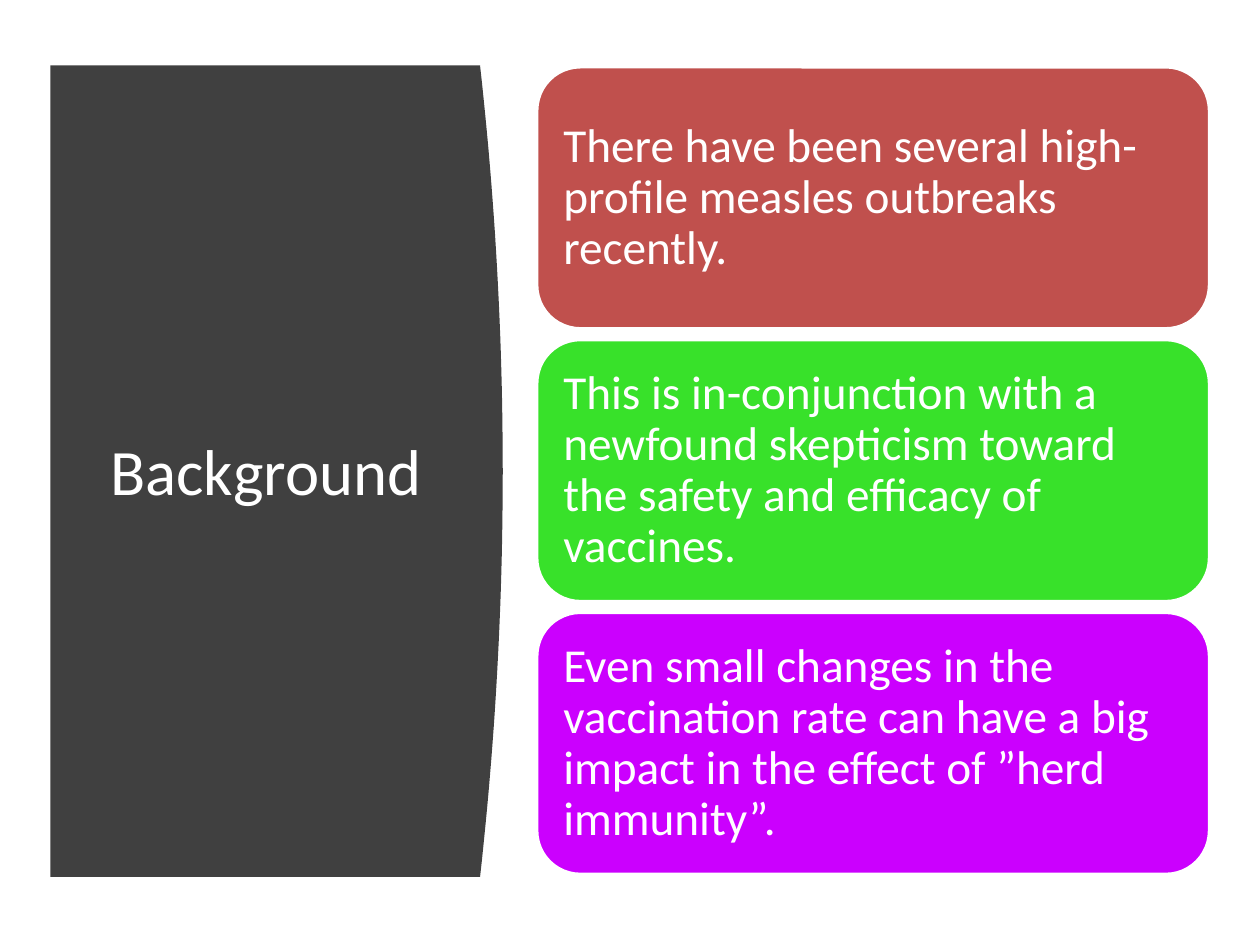
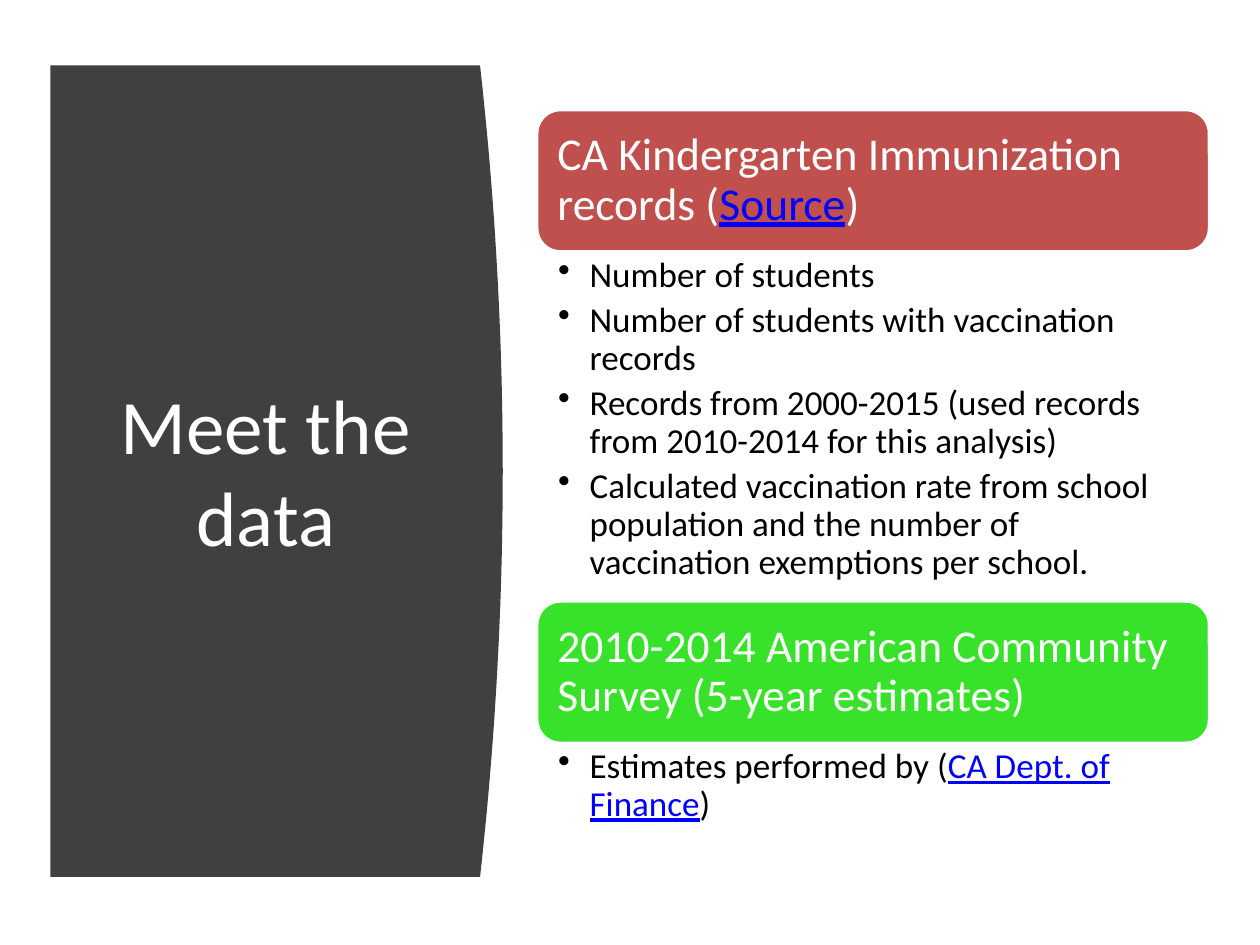
from pptx import Presentation
from pptx.dml.color import RGBColor
from pptx.enum.shapes import MSO_SHAPE as Shape
from pptx.enum.text import MSO_ANCHOR as Anchor, PP_ALIGN as Align
from pptx.oxml.ns import qn
from pptx.util import Inches, Pt
from lxml.etree import SubElement

FONT = "Calibri"
WHITE = RGBColor(0xFF, 0xFF, 0xFF)
BLACK = RGBColor(0x00, 0x00, 0x00)
CHARCOAL = RGBColor(0x40, 0x40, 0x40)
RED = RGBColor(0xC0, 0x50, 0x4D)
GREEN = RGBColor(0x38, 0xE1, 0x2A)
PURPLE = RGBColor(0xCB, 0x00, 0xFE)
LINK_BLUE = RGBColor(0x00, 0x00, 0xFF)

PANEL_LEFT, PANEL_TOP, PANEL_BOTTOM = 0.4, 0.52, 6.96
PANEL_EDGE, PANEL_BULGE, CURVE_STEPS = 3.81, 0.18, 48
CARD_LEFT, CARD_WIDTH = 4.26, 5.34


class Deck:
    def __init__(self):
        self.presentation = Presentation()
        self.presentation.slide_width = Inches(10)
        self.presentation.slide_height = Inches(7.5)
        self.slide = None

    def add_slide(self, title, title_size):
        layout = self.presentation.slide_layouts[6]
        self.slide = self.presentation.slides.add_slide(layout)
        self.add_panel()
        self.add_title(title, title_size)

    def add_panel(self):
        """Draw the dark panel whose right side bulges as a parabola."""
        height = PANEL_BOTTOM - PANEL_TOP
        curve = []
        for step in range(CURVE_STEPS + 1):
            share = step / CURVE_STEPS
            x = PANEL_EDGE + PANEL_BULGE * 4 * share * (1 - share)
            curve.append((Inches(x), Inches(PANEL_TOP + height * share)))
        builder = self.slide.shapes.build_freeform(Inches(PANEL_LEFT), Inches(PANEL_TOP))
        builder.add_line_segments(curve + [(Inches(PANEL_LEFT), Inches(PANEL_BOTTOM))])
        panel = builder.convert_to_shape()
        panel.shadow.inherit = False
        panel.fill.solid()
        panel.fill.fore_color.rgb = CHARCOAL
        panel.line.fill.background()

    def add_title(self, text, size):
        frame = self.add_text_box(0.71, 1.11, 2.8, 5.24)
        frame.vertical_anchor = Anchor.MIDDLE
        paragraph = frame.paragraphs[0]
        paragraph.alignment = Align.CENTER
        self.add_runs(paragraph, [text], size, WHITE)

    def add_text_box(self, left, top, width, height):
        box = self.slide.shapes.add_textbox(
            Inches(left), Inches(top), Inches(width), Inches(height))
        box.text_frame.word_wrap = True
        return box.text_frame

    def add_card(self, top, height, color, pieces, size):
        card = self.slide.shapes.add_shape(
            Shape.ROUNDED_RECTANGLE, Inches(CARD_LEFT), Inches(top),
            Inches(CARD_WIDTH), Inches(height))
        card.shadow.inherit = False
        card.fill.solid()
        card.fill.fore_color.rgb = color
        card.line.color.rgb = WHITE
        card.line.width = Pt(2)
        frame = card.text_frame
        frame.word_wrap = True
        frame.vertical_anchor = Anchor.MIDDLE
        self.set_margins(frame, 0.11, 0.11, 0.11)
        paragraph = frame.paragraphs[0]
        paragraph.alignment = Align.LEFT
        paragraph.line_spacing = 0.9
        self.add_runs(paragraph, pieces, size, WHITE)

    def add_bullets(self, top, height, items):
        frame = self.add_text_box(CARD_LEFT, top, CARD_WIDTH, height)
        self.set_margins(frame, 0.17, 0.2, 0.04)
        for index, pieces in enumerate(items):
            paragraph = frame.add_paragraph() if index else frame.paragraphs[0]
            paragraph.line_spacing = 0.9
            paragraph.space_after = Pt(4.3)
            self.set_bullet(paragraph)
            self.add_runs(paragraph, pieces, 20, BLACK)

    @staticmethod
    def set_margins(frame, left, right, vertical):
        frame.margin_left, frame.margin_right = Inches(left), Inches(right)
        frame.margin_top = frame.margin_bottom = Inches(vertical)

    @staticmethod
    def set_bullet(paragraph):
        properties = paragraph._p.get_or_add_pPr()
        properties.set("marL", str(Inches(0.25)))
        properties.set("indent", str(Inches(-0.25)))
        SubElement(properties, qn("a:buChar")).set("char", "•")

    @staticmethod
    def add_runs(paragraph, pieces, size, color):
        """Add the pieces as runs; every second piece is styled as a link."""
        for index, text in enumerate(pieces):
            is_link = index % 2 == 1
            run = paragraph.add_run()
            run.text = text
            run.font.name = FONT
            run.font.size = Pt(size)
            run.font.color.rgb = LINK_BLUE if is_link else color
            if is_link:
                run.font.underline = True


def add_background_slide(deck):
    deck.add_slide("Background", 37)
    statements = [
        (RED, "There have been several high-profile measles outbreaks recently."),
        (GREEN, "This is in-conjunction with a newfound skepticism toward "
                "the safety and efficacy of vaccines."),
        (PURPLE, "Even small changes in the vaccination rate can have a big "
                 "impact in the effect of ”herd immunity”."),
    ]
    height, gap = 2.08, 0.085
    for index, (color, statement) in enumerate(statements):
        deck.add_card(0.53 + index * (height + gap), height, color, [statement], 27)


def add_data_slide(deck):
    deck.add_slide("Meet the data", 44)
    sources = [
        (RED, ["CA Kindergarten Immunization records (", "Source", ")"], 2.77, [
            ["Number of students"],
            ["Number of students with vaccination records"],
            ["Records from 2000-2015 (used records from 2010-2014 for this analysis)"],
            ["Calculated vaccination rate from school population and the number "
             "of vaccination exemptions per school."],
        ]),
        (GREEN, ["2010-2014 American Community Survey (5-year estimates)"], 0.69, [
            ["Estimates performed by (", "CA Dept. of Finance", ")"],
        ]),
    ]
    top, heading_height = 0.87, 1.13
    for color, heading, details_height, details in sources:
        deck.add_card(top, heading_height, color, heading, 26)
        top += heading_height
        deck.add_bullets(top, details_height, details)
        top += details_height


def main():
    deck = Deck()
    add_background_slide(deck)
    add_data_slide(deck)
    deck.presentation.save("out.pptx")


if __name__ == "__main__":
    main()
